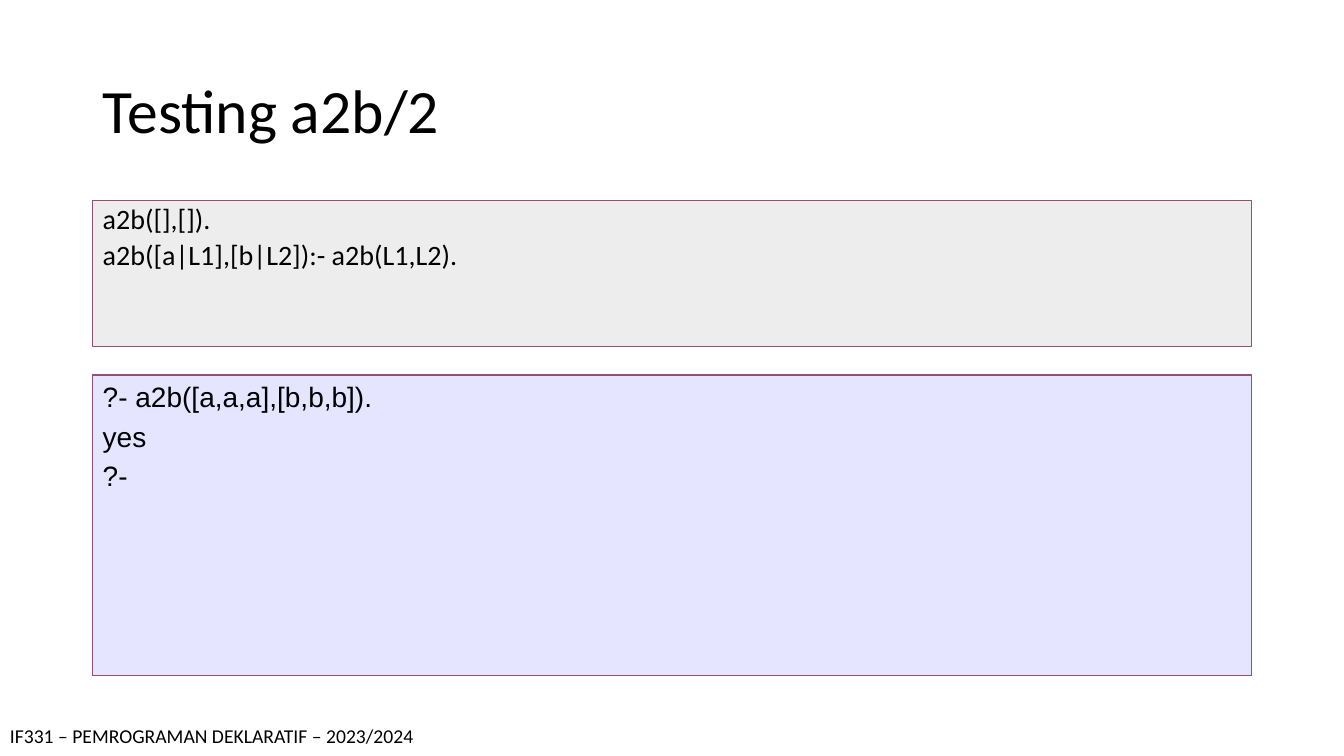
from dataclasses import dataclass

from lxml import etree
from pptx import Presentation
from pptx.dml.color import RGBColor
from pptx.enum.shapes import MSO_SHAPE
from pptx.enum.text import MSO_ANCHOR, PP_ALIGN
from pptx.oxml.ns import qn
from pptx.util import Inches, Pt

RECTANGLE = MSO_SHAPE.RECTANGLE
LEFT = PP_ALIGN.LEFT
TOP, MIDDLE = MSO_ANCHOR.TOP, MSO_ANCHOR.MIDDLE
TITLE_ONLY = 5
WIDTH, HEIGHT = 13.33, 7.5
MARGIN = 0.92
CONTENT_WIDTH = WIDTH - 2 * MARGIN


@dataclass(frozen=True)
class Theme:
    text: RGBColor = RGBColor(0x00, 0x00, 0x00)
    border: RGBColor = RGBColor(0x95, 0x4F, 0x72)
    program: RGBColor = RGBColor(0xDD, 0xDD, 0xDD)
    query: RGBColor = RGBColor(0xCC, 0xCC, 0xFF)
    panel_opacity: float = 0.5
    border_width: float = 0.75
    body_font: str = "Calibri"
    query_font: str = "Arial"
    title_size: int = 44
    code_size: int = 20
    footer_size: int = 14


THEME = Theme()


def inches(box):
    return [Inches(length) for length in box]


def style(paragraph, size, font=THEME.body_font):
    paragraph.alignment = LEFT
    paragraph.font.size = Pt(size)
    paragraph.font.name = font
    paragraph.font.color.rgb = THEME.text


def add_title(slide, box, wording):
    title = slide.shapes.title
    title.left, title.top, title.width, title.height = inches(box)
    title.text_frame.text = wording
    title.text_frame.vertical_anchor = MIDDLE
    heading = title.text_frame.paragraphs[0]
    heading.line_spacing = 0.9
    style(heading, THEME.title_size)


def add_footer(slide, box, wording):
    footer = slide.shapes.add_textbox(*inches(box)).text_frame
    footer.word_wrap = True
    footer.text = wording
    style(footer.paragraphs[0], THEME.footer_size)


def add_code_panel(slide, box, lines, color, font, hanging, line_spacing):
    """Draw a translucent bordered panel with one hanging paragraph per code line."""
    panel = slide.shapes.add_shape(RECTANGLE, *inches(box))
    panel.shadow.inherit = False
    panel.fill.solid()
    panel.fill.fore_color.rgb = color
    fill_color = panel.fill._xPr.find(qn("a:solidFill"))[0]
    alpha = etree.SubElement(fill_color, qn("a:alpha"))
    alpha.set("val", str(int(THEME.panel_opacity * 100000)))
    panel.line.color.rgb = THEME.border
    panel.line.width = Pt(THEME.border_width)

    code = panel.text_frame
    code.word_wrap = True
    code.vertical_anchor = TOP
    code.text = "\n".join(lines)
    for index, paragraph in enumerate(code.paragraphs):
        properties = paragraph._p.get_or_add_pPr()
        properties.set("marL", str(Inches(hanging)))
        properties.set("indent", str(-Inches(hanging)))
        paragraph.line_spacing = line_spacing
        if index:
            paragraph.space_before = Pt(0.2 * THEME.code_size)
        style(paragraph, THEME.code_size, font)


def main():
    deck = Presentation()
    deck.slide_width, deck.slide_height = inches((WIDTH, HEIGHT))
    slide = deck.slides.add_slide(deck.slide_layouts[TITLE_ONLY])
    add_title(slide, (MARGIN, 0.4, CONTENT_WIDTH, 1.45), "Testing a2b/2")
    add_footer(slide, (0, 7.13, WIDTH, 0.34),
               "IF331 – PEMROGRAMAN DEKLARATIF – 2023/2024")
    add_code_panel(slide, (MARGIN, 1.99, CONTENT_WIDTH, 1.45),
                   ["a2b([],[]).", "a2b([a|L1],[b|L2]):- a2b(L1,L2)."],
                   THEME.program, THEME.body_font, hanging=0.25, line_spacing=0.9)
    add_code_panel(slide, (MARGIN, 3.72, CONTENT_WIDTH, 2.98),
                   ["?- a2b([a,a,a],[b,b,b]).", "yes", "?-"],
                   THEME.query, THEME.query_font, hanging=0.38, line_spacing=1.0)
    deck.save("out.pptx")


if __name__ == "__main__":
    main()
